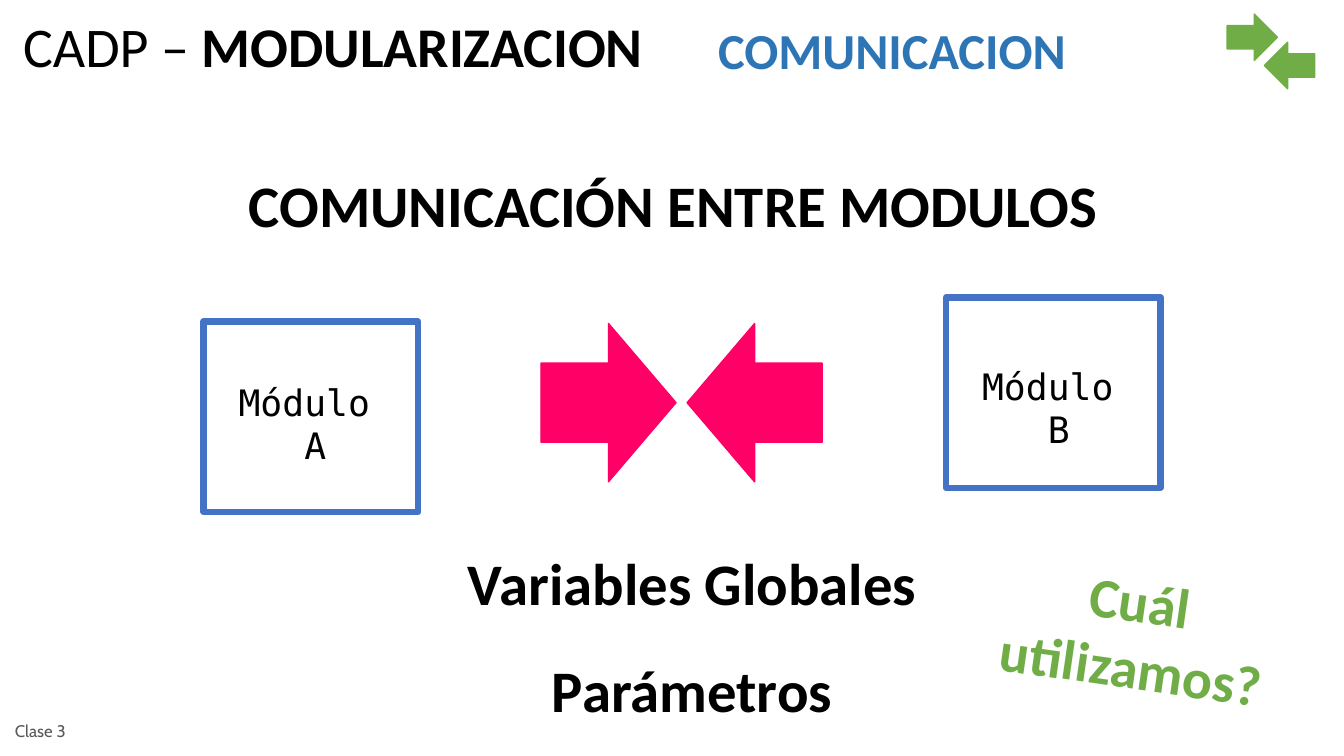
from dataclasses import dataclass

from lxml import etree
from pptx import Presentation
from pptx import util as u
from pptx.dml.color import RGBColor
from pptx.enum import shapes, text
from pptx.oxml import ns

PX = 9144  # EMU per px, 100 px to the inch
COLOURS = {
    "black": "000000",
    "grey": "595959",
    "pink": "FF0066",
    "green": "70AD47",
    "blue": "4472C4",
    "heading": "2E75B6",
}
LEFT, CENTRE, JUSTIFY = text.PP_ALIGN.LEFT, text.PP_ALIGN.CENTER, text.PP_ALIGN.JUSTIFY
MODULE_SIZE = (213, 189)


@dataclass(frozen=True)
class Span:
    words: str
    bold: bool = True


@dataclass(frozen=True)
class Label:
    at: tuple[int, int, int, int]
    paras: tuple[tuple[Span, ...], ...]
    size: int
    colour: str = "black"
    font: str = "Calibri"
    align: text.PP_ALIGN = CENTRE
    anchor: text.MSO_ANCHOR = text.MSO_ANCHOR.TOP
    before: float = 0
    spacing: float = 1.0
    rotation: float = 0
    wrap: bool = True


@dataclass(frozen=True)
class Arrow:
    at: tuple[int, int, int, int]
    colour: str
    rotation: int = 0


@dataclass(frozen=True)
class Module:
    name: str
    corner: tuple[int, int]
    label_corner: tuple[int, int]


TITLE = Label((13, 14, 677, 76), ((Span("CADP – ", False), Span("MODULARIZACION")),),
              40, align=LEFT, spacing=0.9)
OPTIONS = Label((430, 537, 514, 187),
                ((Span("Variables Globales"),), (Span("Parámetros"),)), 42, before=26.2)
LABELS = (
    Label((237, 162, 880, 80), ((Span("COMUNICACIÓN ENTRE MODULOS"),),), 42, align=JUSTIFY),
    Label((703, 14, 441, 70), ((Span("COMUNICACION"),),), 36, "heading", align=JUSTIFY),
    Label((5, 705, 233, 40), ((Span("Clase 3", False),),), 12, "grey", "Cabin", LEFT,
          text.MSO_ANCHOR.MIDDLE),
    Label((975, 557, 305, 144), ((Span("Cuál utilizamos?"),),), 40, "green", rotation=8.3),
)
ARROWS = (
    Arrow((537, 321, 134, 157), "pink"),
    Arrow((682, 321, 134, 157), "pink", 180),
    Arrow((1218, 14, 50, 46), "green"),
    Arrow((1255, 42, 50, 46), "green", 180),
)
MODULES = (
    Module("A", (202, 319), (227, 372)),
    Module("B", (939, 295), (965, 356)),
)


def rgb(name: str) -> RGBColor:
    return RGBColor.from_string(COLOURS[name])


def emu(lengths: tuple[int, ...]) -> list[u.Emu]:
    return [u.Emu(length * PX) for length in lengths]


def write(box, label: Label) -> None:
    """Place and format a text box or placeholder, then add its text run by run."""
    box.left, box.top, box.width, box.height = emu(label.at)
    box.rotation = label.rotation
    frame = box.text_frame
    frame.auto_size = text.MSO_AUTO_SIZE.NONE
    frame.word_wrap = label.wrap
    frame.vertical_anchor = label.anchor
    for index, spans in enumerate(label.paras):
        para = frame.add_paragraph() if index else frame.paragraphs[0]
        para.alignment = label.align
        para.space_before = u.Pt(label.before if index else 0)
        para.line_spacing = label.spacing
        for span in spans:
            run = para.add_run()
            run.text = span.words
            run.font.name = label.font
            run.font.size = u.Pt(label.size)
            run.font.bold = span.bold
            run.font.color.rgb = rgb(label.colour)


def remove_bullets(box) -> None:
    for para in box.text_frame.paragraphs:
        properties = para._p.get_or_add_pPr()
        properties.set("marL", "0")
        properties.set("indent", "0")
        etree.SubElement(properties, ns.qn("a:buNone"))


def add_label(page, label: Label) -> None:
    write(page.shapes.add_textbox(*emu(label.at)), label)


def add_arrow(page, arrow: Arrow) -> None:
    shape = page.shapes.add_shape(shapes.MSO_SHAPE.RIGHT_ARROW, *emu(arrow.at))
    shape.rotation = arrow.rotation
    shape.shadow.inherit = False
    shape.fill.solid()
    shape.fill.fore_color.rgb = rgb(arrow.colour)
    shape.line.color.rgb = rgb(arrow.colour)
    shape.line.width = u.Pt(1)


def add_module(page, module: Module) -> None:
    square = page.shapes.add_shape(shapes.MSO_SHAPE.RECTANGLE,
                                   *emu(module.corner + MODULE_SIZE))
    square.shadow.inherit = False
    square.fill.background()
    square.line.color.rgb = rgb("blue")
    square.line.width = u.Pt(4.5)
    lines = ((Span("Módulo ", False),), (Span(module.name, False),))
    add_label(page, Label(module.label_corner + (172, 97), lines, 26,
                          font="DejaVu Sans Mono", wrap=False))


def main() -> None:
    deck = Presentation()
    deck.slide_width, deck.slide_height = emu((1334, 750))
    page = deck.slides.add_slide(deck.slide_layouts.get_by_name("Title and Content"))
    write(page.shapes.title, TITLE)
    options = page.placeholders[1]
    write(options, OPTIONS)
    remove_bullets(options)
    for label in LABELS:
        add_label(page, label)
    for arrow in ARROWS:
        add_arrow(page, arrow)
    for module in MODULES:
        add_module(page, module)
    deck.save("out.pptx")


if __name__ == "__main__":
    main()
